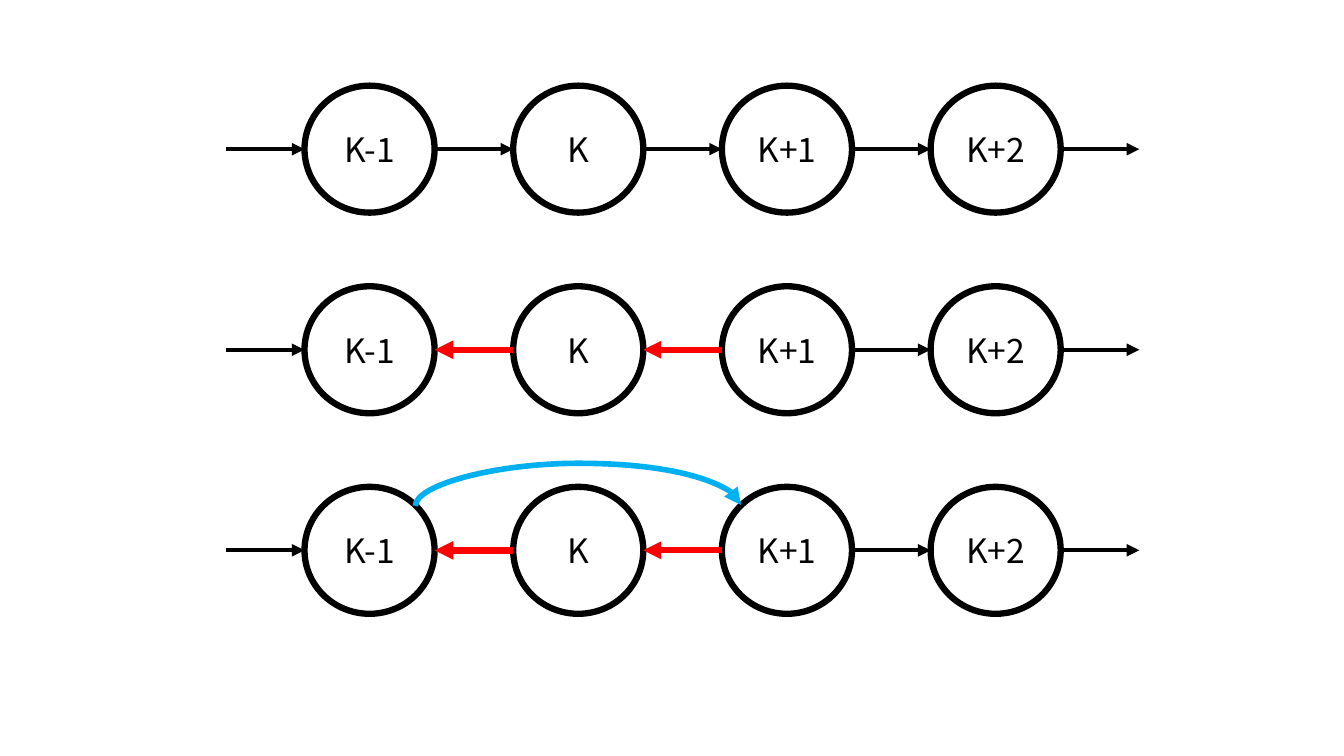
from pptx import Presentation
from pptx.dml.color import RGBColor
from pptx.enum.shapes import MSO_CONNECTOR, MSO_SHAPE
from pptx.enum.text import MSO_ANCHOR, PP_ALIGN
from pptx.oxml.ns import qn
from pptx.util import Inches, Pt
from lxml.etree import SubElement

BLACK = RGBColor(0x00, 0x00, 0x00)
RED = RGBColor(0xFF, 0x00, 0x00)
BLUE = RGBColor(0x00, 0xB0, 0xF0)
FONT = "Noto Sans CJK JP"

# Grid of the linked lists, in inches
LABELS = ["K-1", "K", "K+1", "K+2"]
FIRST_LEFT, NODE_STEP = 3.02, 2.07
NODE_WIDTH, NODE_HEIGHT = 1.29, 1.26
FIRST_TOP, ROW_STEP = 0.85, 1.99
GAP = NODE_STEP - NODE_WIDTH

# Line widths in points of the reversed links, by index of the gap
REVERSED_LINKS = {1: 4.5, 2: 4.25}


def add_node(group, label, left, top):
    node = group.shapes.add_shape(
        MSO_SHAPE.OVAL, Inches(left), Inches(top),
        Inches(NODE_WIDTH), Inches(NODE_HEIGHT))
    node.shadow.inherit = False
    node.fill.background()
    node.line.color.rgb = BLACK
    node.line.width = Pt(4.5)
    frame = node.text_frame
    frame.text = label
    frame.vertical_anchor = MSO_ANCHOR.MIDDLE
    para = frame.paragraphs[0]
    para.alignment = PP_ALIGN.CENTER
    font = para.runs[0].font
    font.name, font.size, font.color.rgb = FONT, Pt(24), BLACK
    # East Asian typeface of the label
    SubElement(font._element, qn("a:ea"), typeface=FONT)


def add_arrow(group, kind, start, end, color, width):
    arrow = group.shapes.add_connector(
        kind, *(Inches(value) for value in (*start, *end)))
    arrow.line.color.rgb = color
    arrow.line.width = Pt(width)
    properties = arrow._element.spPr
    SubElement(properties.find(qn("a:ln")), qn("a:tailEnd"), type="triangle")
    SubElement(properties, qn("a:effectLst"))
    return arrow


def add_list(slide, row, reversed_links):
    group = slide.shapes.add_group_shape()
    top = FIRST_TOP + row * ROW_STEP
    middle = top + NODE_HEIGHT / 2
    for column, label in enumerate(LABELS):
        add_node(group, label, FIRST_LEFT + column * NODE_STEP, top)

    # One link before each node and one after the last
    for link in range(len(LABELS) + 1):
        right = FIRST_LEFT + link * NODE_STEP
        start, end = (right - GAP, middle), (right, middle)
        if link in reversed_links:
            add_arrow(group, MSO_CONNECTOR.STRAIGHT, end, start, RED,
                      reversed_links[link])
        else:
            add_arrow(group, MSO_CONNECTOR.STRAIGHT, start, end, BLACK, 3)
    return group


def add_skip_link(group):
    # Upright curve, turned a quarter to arch from K-1 over K to K+1
    curve = add_arrow(group, MSO_CONNECTOR.CURVE,
                      (5.74, 6.63), (5.73, 3.4), BLUE, 4)
    properties = curve._element.spPr
    properties.find(qn("a:xfrm")).set("rot", str(90 * 60000))
    geometry = properties.find(qn("a:prstGeom"))
    adjustments = geometry.find(qn("a:avLst"))
    SubElement(adjustments, qn("a:gd"), name="adj1", fmla="val 4300000")


def main():
    deck = Presentation()
    deck.slide_width, deck.slide_height = Inches(13.33), Inches(7.5)
    slide = deck.slides.add_slide(deck.slide_layouts[6])

    # Initial list, reversed links, then the reconnected list
    add_list(slide, 0, {})
    add_list(slide, 1, REVERSED_LINKS)
    last_list = add_list(slide, 2, REVERSED_LINKS)
    add_skip_link(last_list)

    deck.save("out.pptx")


main()
